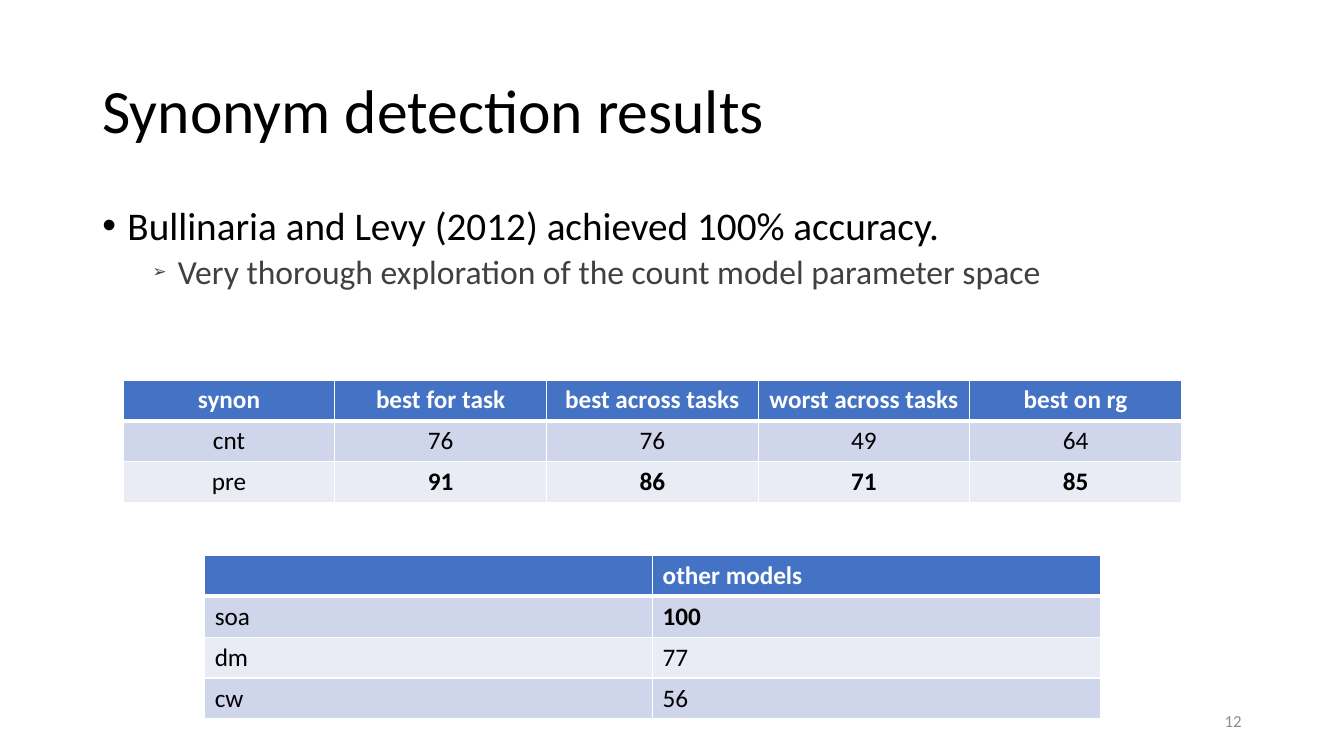
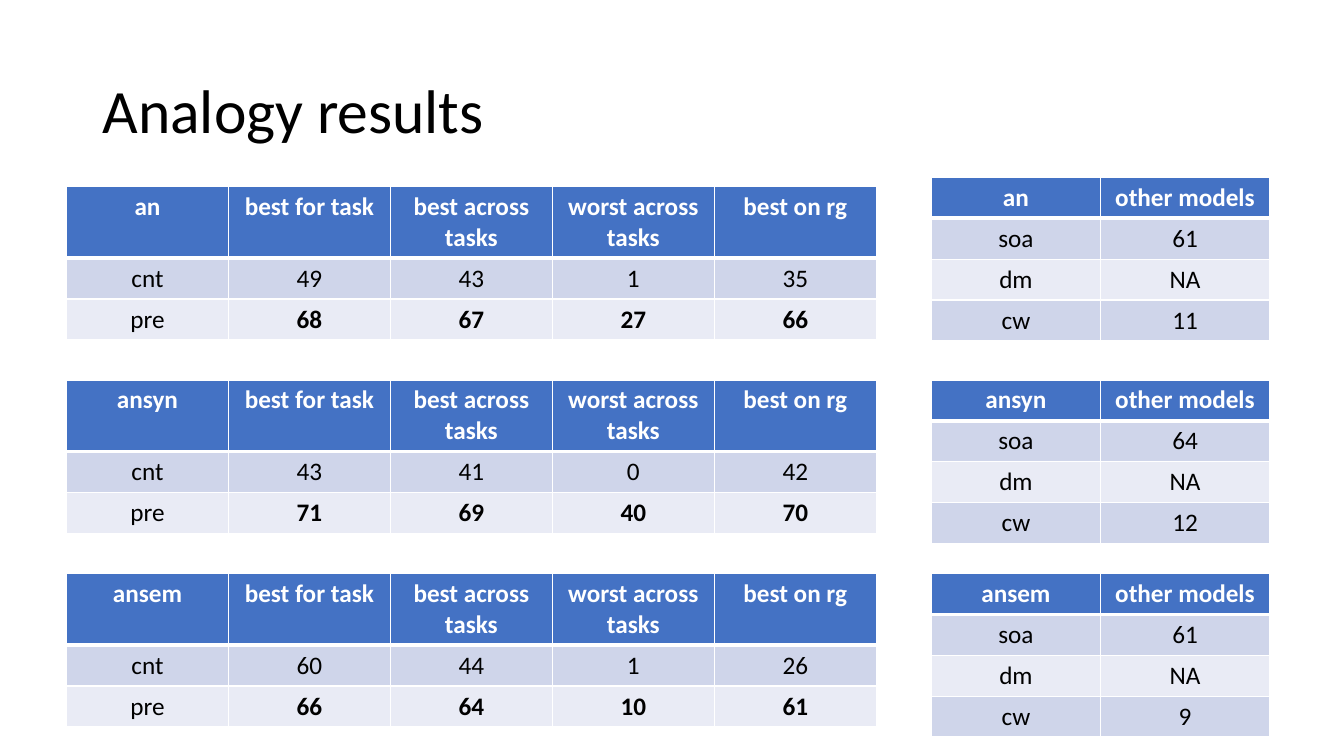
from lxml import etree
from pptx import Presentation
from pptx.dml.color import RGBColor
from pptx.enum.text import MSO_ANCHOR, MSO_AUTO_SIZE, PP_ALIGN
from pptx.oxml.ns import qn
from pptx.util import Pt

LEFT, CENTER, RIGHT = PP_ALIGN.LEFT, PP_ALIGN.CENTER, PP_ALIGN.RIGHT
MIDDLE, NO_AUTOFIT = MSO_ANCHOR.MIDDLE, MSO_AUTO_SIZE.NONE

FONT = "Calibri"
BLACK, WHITE, DARK_GREY, GREY = "000000", "FFFFFF", "404040", "8C8C8C"
HEADER_FILL, BAND_FILLS = "4472C4", ("CFD5EA", "E9EBF5")
ROW_HEIGHT, TALL_HEADER = 29.2, 51.1
THIN, THICK = 1, 3

SETTINGS = ["best for task", "best across tasks", "worst across tasks", "best on rg"]


def write(paragraph, text, size, color, bold=False, **layout):
    """Fill a paragraph with one run; layout holds paragraph attributes."""
    for name, value in layout.items():
        setattr(paragraph, name, value)
    run = paragraph.add_run()
    run.text = text
    for name, value in {"name": FONT, "size": Pt(size), "bold": bold}.items():
        setattr(run.font, name, value)
    run.font.color.rgb = RGBColor.from_string(color)


def add_results(slide, left, top, column_width, rows, best=None, align=CENTER,
                header_height=ROW_HEIGHT):
    """Add a banded table; the scores in the row labelled best are bold."""
    heights = [header_height] + [ROW_HEIGHT] * (len(rows) - 1)
    columns = len(rows[0])
    table = slide.shapes.add_table(len(rows), columns, Pt(left), Pt(top),
                                   Pt(column_width * columns), Pt(sum(heights))).table
    for column in table.columns:
        column.width = Pt(column_width)
    for r, values in enumerate(rows):
        table.rows[r].height = Pt(heights[r])
        is_header = r == 0
        fill = HEADER_FILL if is_header else BAND_FILLS[(r - 1) % 2]
        borders = {"a:lnL": THIN, "a:lnR": THIN,
                   "a:lnT": THICK if r == 1 else THIN,
                   "a:lnB": THICK if is_header else THIN}
        for c, value in enumerate(values):
            cell = table.cell(r, c)
            properties = cell._tc.get_or_add_tcPr()
            for side, width in borders.items():
                line = etree.SubElement(properties, qn(side), w=str(Pt(width)))
                solid = etree.SubElement(line, qn("a:solidFill"))
                etree.SubElement(solid, qn("a:srgbClr"), val=WHITE)
            cell.fill.solid()
            cell.fill.fore_color.rgb = RGBColor.from_string(fill)
            if value != "":
                write(cell.text_frame.paragraphs[0], str(value), 18,
                      WHITE if is_header else BLACK,
                      bold=is_header or (values[0] == best and c > 0), alignment=align)


prs = Presentation()
prs.slide_width, prs.slide_height = Pt(960), Pt(540)
title_only = prs.slide_layouts[5]

slides = []
for heading in ("Synonym detection results", "Analogy results"):
    slide = prs.slides.add_slide(title_only)
    title = slide.shapes.title
    title.left, title.top, title.width, title.height = Pt(66), Pt(28.8), Pt(828), Pt(104.4)
    title.text_frame.vertical_anchor = MIDDLE
    title.text_frame.auto_size = NO_AUTOFIT
    write(title.text_frame.paragraphs[0], heading, 44, BLACK,
          alignment=LEFT, line_spacing=0.9)
    slides.append(slide)
synonyms, analogies = slides

# Synonym detection: findings, page number and two tables
findings = synonyms.shapes.add_textbox(Pt(66), Pt(144), Pt(828), Pt(110)).text_frame
findings.word_wrap = True
points = [
    ("Bullinaria and Levy (2012) achieved 100% accuracy.", 28, BLACK, 10, "•", 100),
    ("Very thorough exploration of the count model parameter space",
     24, DARK_GREY, 5, "➢", 50),
]
for level, (text, size, color, space, bullet, bullet_percent) in enumerate(points):
    paragraph = findings.add_paragraph() if level else findings.paragraphs[0]
    write(paragraph, text, size, color, level=level, line_spacing=0.9,
          space_before=Pt(space))
    properties = paragraph._p.get_or_add_pPr()
    properties.set("marL", str(Pt(18 + 36 * level)))
    properties.set("indent", str(Pt(-18)))
    etree.SubElement(properties, qn("a:buSzPct"), val=str(bullet_percent * 1000))
    etree.SubElement(properties, qn("a:buFont"), typeface="Arial")
    etree.SubElement(properties, qn("a:buChar"), char=bullet)

page_number = synonyms.shapes.add_textbox(Pt(678), Pt(500.4), Pt(216), Pt(28.8)).text_frame
page_number.word_wrap = True
page_number.vertical_anchor = MIDDLE
write(page_number.paragraphs[0], "12", 12, GREY, alignment=RIGHT)

add_results(synonyms, 88, 271.4, 151.2,
            [["synon"] + SETTINGS, ["cnt", 76, 76, 49, 64], ["pre", 91, 86, 71, 85]],
            best="pre")
add_results(synonyms, 146.2, 396.7, 320,
            [["", "other models"], ["soa", 100], ["dm", 77], ["cw", 56]],
            best="soa", align=LEFT)

# Analogy: one pair of tables per data set
analogy_sets = [
    ("an", 133.2, 126.7, [49, 43, 1, 35], [68, 67, 27, 66], [61, "NA", 11]),
    ("ansyn", 271.4, 271.4, [43, 41, 0, 42], [71, 69, 40, 70], [64, "NA", 12]),
    ("ansem", 409.7, 409.7, [60, 44, 1, 26], [66, 64, 10, 61], [61, "NA", 9]),
]
for name, main_top, others_top, count, predict, others in analogy_sets:
    add_results(analogies, 47.5, main_top, 115.7,
                [[name] + SETTINGS, ["cnt"] + count, ["pre"] + predict],
                best="pre", header_height=TALL_HEADER)
    add_results(analogies, 665.3, others_top, 120.8,
                [[name, "other models"], *zip(("soa", "dm", "cw"), others)])

prs.save("out.pptx")
